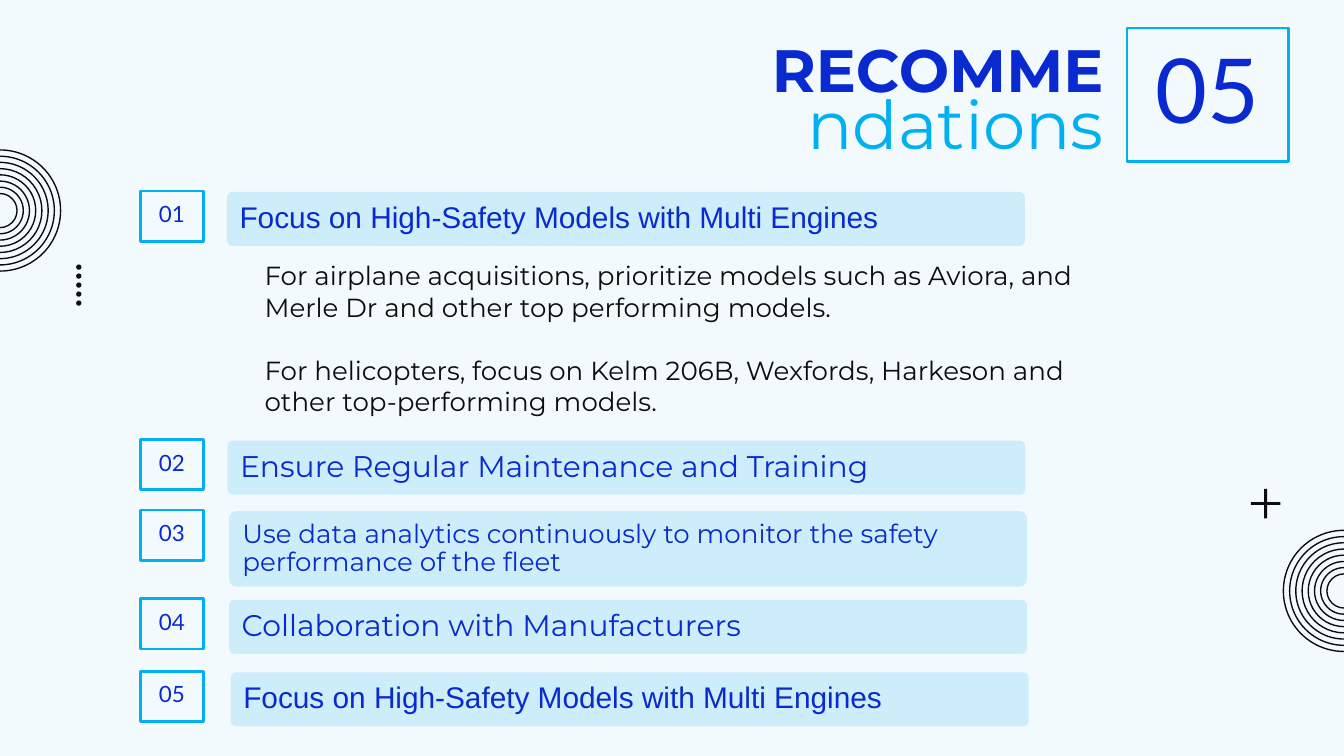
from typing import NamedTuple

from pptx import Presentation
from pptx.dml.color import RGBColor
from pptx.enum.shapes import MSO_SHAPE
from pptx.enum.text import MSO_ANCHOR, MSO_AUTO_SIZE, PP_ALIGN
from pptx.util import Cm, Pt

NAVY = "092ACE"
SKY = "00B0F0"
PALE = "CEEDFA"
INK = "0D0D0D"
BACKGROUND = "F2FAFD"

BAR_LEFT_TEXT_INSET = 0.21
BAR_HEIGHT = 1.02


class Place(NamedTuple):
    left: float
    top: float
    width: float
    height: float


class TextStyle(NamedTuple):
    font: str
    size: float
    color: str
    bold: bool = False
    align: PP_ALIGN = PP_ALIGN.LEFT
    line_spacing: float = 1.0


class Recommendation(NamedTuple):
    text: str
    left: float
    top: float
    height: float = BAR_HEIGHT
    font: str = "Montserrat"
    size: float = 16


RECOMMENDATIONS = [
    Recommendation("Focus on High-Safety Models with Multi Engines", 4.29, 3.63, font="Arial"),
    Recommendation("Ensure Regular Maintenance and Training", 4.3, 8.33),
    Recommendation(
        "Use data analytics continuously to monitor the safety performance of the fleet",
        4.33, 9.66, height=1.43, size=14,
    ),
    Recommendation("Collaboration with Manufacturers", 4.33, 11.34),
    Recommendation("Focus on High-Safety Models with Multi Engines", 4.36, 12.71, font="Arial"),
]
ADVICE = [
    "For airplane acquisitions, prioritize models such as Aviora, and "
    "Merle Dr and other top performing models.",
    "For helicopters, focus on Kelm 206B, Wexfords, Harkeson and "
    "other top-performing models.",
]


def rgb(color: str) -> RGBColor:
    return RGBColor.from_string(color)


def lengths(place: Place) -> list[Cm]:
    return [Cm(value) for value in place]


def add_shape(page, kind: MSO_SHAPE, place: Place, fill: str | None = None,
              line: str | None = None, line_width: float = 1.5):
    shape = page.shapes.add_shape(kind, *lengths(place))
    shape.shadow.inherit = False
    if fill:
        shape.fill.solid()
        shape.fill.fore_color.rgb = rgb(fill)
    else:
        shape.fill.background()
    if line:
        shape.line.color.rgb = rgb(line)
        shape.line.width = Pt(line_width)
    else:
        shape.line.fill.background()
    return shape


def write(box, texts: list[str], style: TextStyle, anchor: MSO_ANCHOR,
          side: float = 0.25, edge: float = 0.25, gap: float = 0) -> None:
    """Fill a box with paragraphs; side and edge are insets in cm, gap is in points."""
    frame = box.text_frame
    frame.word_wrap = True
    frame.auto_size = MSO_AUTO_SIZE.NONE
    frame.vertical_anchor = anchor
    frame.margin_left = frame.margin_right = Cm(side)
    frame.margin_top = frame.margin_bottom = Cm(edge)
    for index, text in enumerate(texts):
        para = frame.add_paragraph() if index else frame.paragraphs[0]
        para.alignment = style.align
        para.line_spacing = style.line_spacing
        para.space_before = Pt(gap if index else 0)
        span = para.add_run()
        span.text = text
        span.font.name = style.font
        span.font.size = Pt(style.size)
        span.font.bold = style.bold
        span.font.color.rgb = rgb(style.color)


def add_circle(page, center_x: float, center_y: float, diameter: float, **paint) -> None:
    place = Place(center_x - diameter / 2, center_y - diameter / 2, diameter, diameter)
    add_shape(page, MSO_SHAPE.OVAL, place, **paint)


def add_decorations(page) -> None:
    for index in range(5):
        add_circle(page, 1.49, 5.05 + 0.17 * index, 0.1, fill=INK)
    plus = add_shape(page, MSO_SHAPE.MATH_PLUS, Place(23.54, 9.14, 0.76, 0.76), fill=INK)
    plus.adjustments[0] = 0.069
    for center_x, center_y in [(0, 3.98), (25.4, 11.17)]:
        for index in range(8):
            add_circle(page, center_x, center_y, 2.29 - 0.235 * index,
                       line=INK, line_width=0.75)


def add_number_box(page, number: int, place: Place, size: float, line_spacing: float) -> None:
    box = add_shape(page, MSO_SHAPE.RECTANGLE, place, line=SKY)
    style = TextStyle("Lato", size, NAVY, align=PP_ALIGN.CENTER, line_spacing=line_spacing)
    write(box, [f"{number:02d}"], style, MSO_ANCHOR.MIDDLE)


def add_heading(page) -> None:
    title = page.shapes.title
    title.left, title.top, title.width, title.height = lengths(Place(14.15, 0.36, 6.96, 1.9))
    write(title, ["RECOMME"],
          TextStyle("Montserrat", 32, NAVY, bold=True, align=PP_ALIGN.RIGHT), MSO_ANCHOR.TOP)
    subtitle = page.shapes.add_textbox(*lengths(Place(14.15, 1.3, 6.96, 1.9)))
    write(subtitle, ["ndations"],
          TextStyle("Montserrat", 36, SKY, align=PP_ALIGN.RIGHT), MSO_ANCHOR.TOP)
    add_number_box(page, 5, Place(21.3, 0.53, 3.05, 2.52), 48, 0.9)


def add_recommendation(page, number: int, item: Recommendation) -> None:
    bar = add_shape(page, MSO_SHAPE.ROUNDED_RECTANGLE,
                    Place(item.left, item.top, 15.08, item.height), fill=PALE)
    bar.adjustments[0] = 0.1
    write(bar, [item.text], TextStyle(item.font, item.size, NAVY, line_spacing=0.9),
          MSO_ANCHOR.MIDDLE, side=BAR_LEFT_TEXT_INSET, edge=0.18)
    add_number_box(page, number, Place(2.65, item.top - 0.02, 1.2, 0.95), 12, 0.8)


def main() -> None:
    deck = Presentation()
    deck.slide_width, deck.slide_height = Cm(25.4), Cm(14.29)
    page = deck.slides.add_slide(deck.slide_layouts[5])
    page.background.fill.solid()
    page.background.fill.fore_color.rgb = rgb(BACKGROUND)

    add_decorations(page)
    add_heading(page)
    for number, item in enumerate(RECOMMENDATIONS, start=1):
        add_recommendation(page, number, item)
    advice = page.shapes.add_textbox(*lengths(Place(4.75, 4.78, 16.46, 3.25)))
    write(advice, ADVICE, TextStyle("Montserrat", 14, INK), MSO_ANCHOR.TOP, edge=0.13, gap=17)

    deck.save("out.pptx")


if __name__ == "__main__":
    main()
